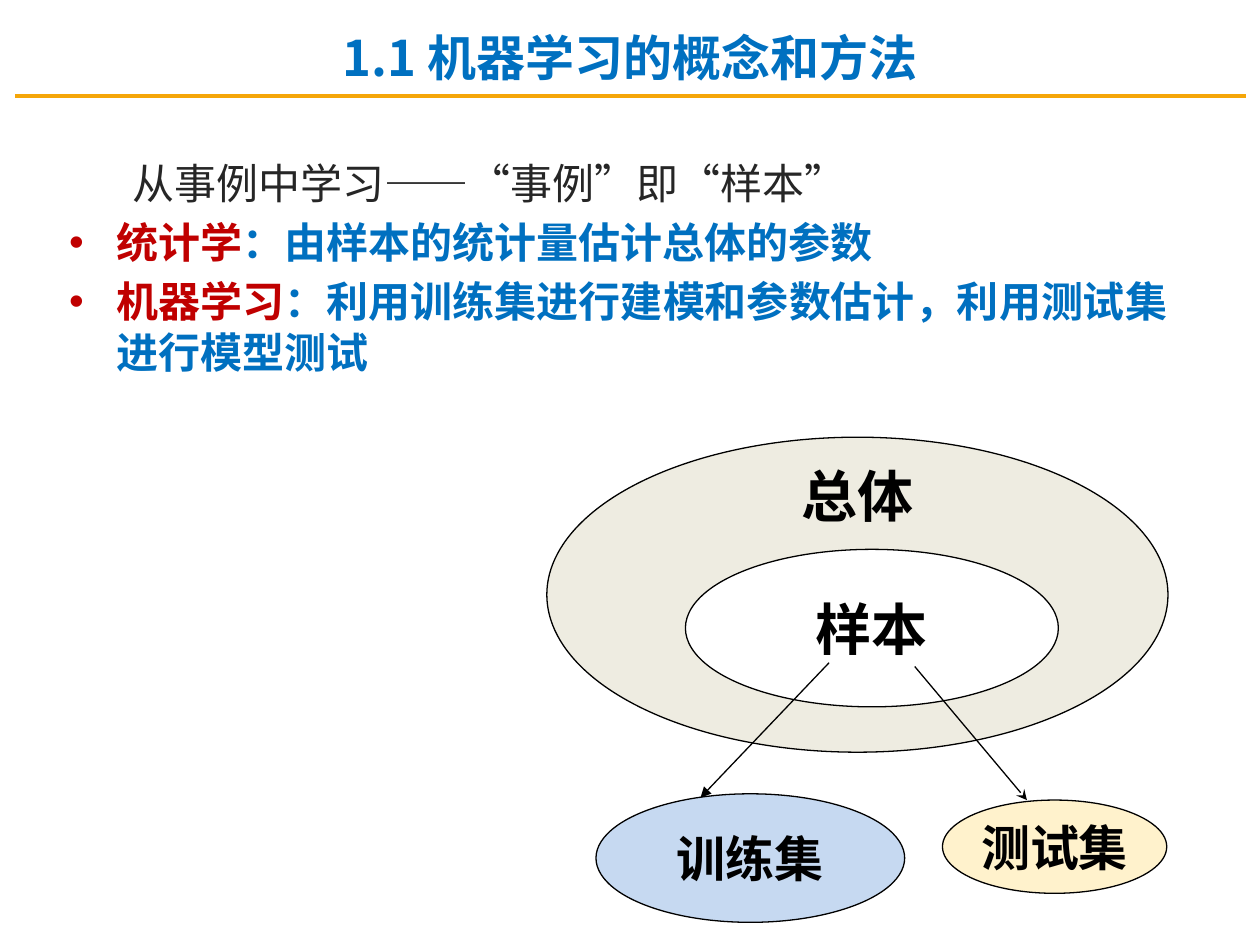
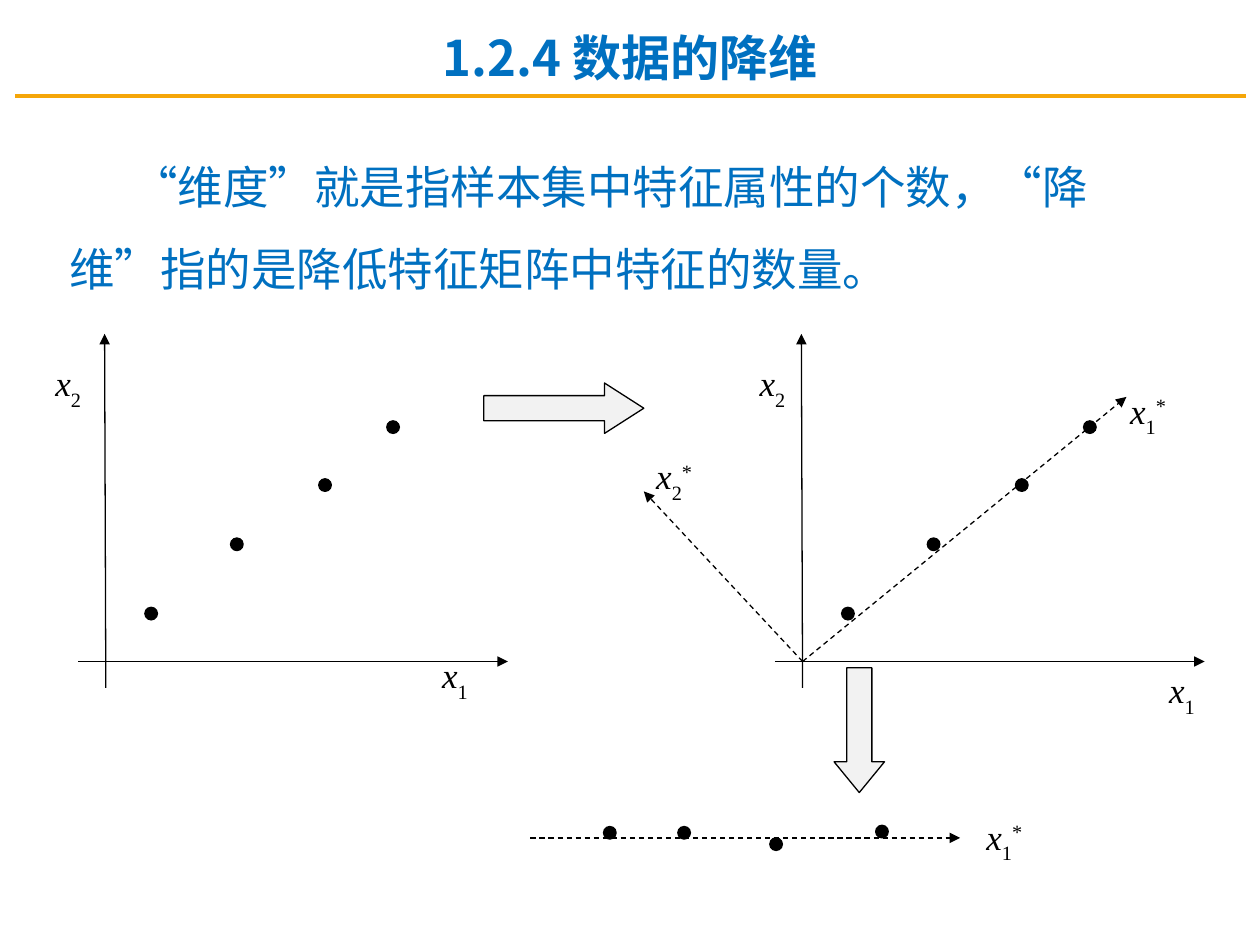
from lxml import etree
from pptx import Presentation
from pptx.dml.color import RGBColor
from pptx.enum.dml import MSO_LINE
from pptx.enum.shapes import MSO_CONNECTOR, MSO_SHAPE
from pptx.enum.text import MSO_ANCHOR, PP_ALIGN
from pptx.oxml.ns import qn
from pptx.util import Inches, Pt

OVAL, RIGHT, DOWN = MSO_SHAPE.OVAL, MSO_SHAPE.RIGHT_ARROW, MSO_SHAPE.DOWN_ARROW
STRAIGHT, DASH = MSO_CONNECTOR.STRAIGHT, MSO_LINE.DASH
MIDDLE, CENTER = MSO_ANCHOR.MIDDLE, PP_ALIGN.CENTER

BLUE = RGBColor(0x00, 0x70, 0xC0)
RED = RGBColor(0xC0, 0x00, 0x00)
ORANGE = RGBColor(0xF5, 0xA6, 0x09)
BLACK = RGBColor(0, 0, 0)
WHITE = RGBColor(0xFF, 0xFF, 0xFF)
DARK = RGBColor(0x26, 0x26, 0x26)
STONE = RGBColor(0xEE, 0xEC, 0xE1)
CREAM = RGBColor(0xFF, 0xF2, 0xCC)
SKY = RGBColor(0xC6, 0xD9, 0xF1)
GREY = RGBColor(0xF2, 0xF2, 0xF2)
HAN, SANS, BODY, MATH = "Noto Sans CJK SC", "Arial", "Calibri", "Times New Roman"

WIDE, HIGH = 10, 7.5
BODY_BOX = (0.45, 1, 9.11, 6.06)

# Slide 1
TITLE_1 = "1.1 机器学习的概念和方法"
LEAD_1 = "从事例中学习——“事例”即“样本”"
POINTS = [
    ("统计学", "：由样本的统计量估计总体的参数"),
    ("机器学习", "：利用训练集进行建模和参数估计，利用测试集进行模型测试"),
]
WHOLE, WHOLE_BOX = "总体", (4.34, 3.47, 4.93, 2.5)
SETS = [  # text, box, fill, size
    ("样本", (5.44, 4.36, 2.96, 1.25), WHITE, 32),
    ("测试集", (7.48, 6.35, 1.78, 0.74), CREAM, 28),
    ("训练集", (4.73, 6.3, 2.45, 1.02), SKY, 28),
]
SPLITS = [((6.58, 5.26), (5.56, 6.33), "triangle"),
          ((7.26, 5.29), (8.15, 6.35), "stealth")]

# Slide 2
TITLE_2 = "1.2.4 数据的降维"
LEAD_2 = "“维度”就是指样本集中特征属性的个数，“降维”指的是降低特征矩阵中特征的数量。"
PLOTS = (0.62, 6.15)  # left end of each horizontal axis
AXIS_Y, AXIS_LEN, DOT = 5.25, 3.41, 0.1
DOTS = [(0.53, 4.82), (1.21, 4.27), (1.91, 3.8), (2.45, 3.34)]
FLAT = [(4.79, 6.56), (5.38, 6.56), (6.11, 6.65), (6.95, 6.55)]
RAYS = [((6.37, AXIS_Y), (8.94, 3.15)),
        ((6.37, AXIS_Y), (5.11, 3.9)),
        ((4.21, 6.65), (4.21 + AXIS_LEN, 6.65))]
LABELS = [  # subscript, superscript, left, top
    ("1", "", 3.41, 5.14), ("2", "", 0.34, 2.82),
    ("1", "", 9.18, 5.26), ("2", "", 5.93, 2.82),
    ("1", "*", 8.87, 3.04), ("2", "*", 5.11, 3.56), ("1", "*", 7.73, 6.42),
]
ARROWS = [(RIGHT, (3.84, 3.04, 1.27, 0.4), 0.78),
          (DOWN, (6.62, 5.3, 0.4, 0.99), 0.61)]


def style(font, name, size, color, bold=False):
    font.name, font.size, font.bold = name, Pt(size), bold
    font.color.rgb = color
    if name != MATH:
        etree.SubElement(font._element, qn("a:ea"), typeface=HAN)


def write(para, text, *look):
    para.add_run().text = text
    style(para.font, *look)


def indent(para, left, first):
    props = para._p.get_or_add_pPr()
    props.set("marL", str(Inches(left)))
    props.set("indent", str(Inches(first)))
    return props


def text_box(slide, box):
    frame = slide.shapes.add_textbox(*map(Inches, box)).text_frame
    frame.word_wrap = True
    return frame


def shape(slide, kind, box, fill):
    item = slide.shapes.add_shape(kind, *map(Inches, box))
    item.shadow.inherit = False
    item.fill.solid()
    item.fill.fore_color.rgb = fill
    item.line.color.rgb, item.line.width = BLACK, Pt(0.75)
    return item


def line(slide, start, end, head=None, dash=None, color=BLACK, width=0.75):
    item = slide.shapes.add_connector(STRAIGHT, *map(Inches, start + end))
    item.line.color.rgb, item.line.width = color, Pt(width)
    if dash:
        item.line.dash_style = dash
    if head:
        etree.SubElement(item.line._get_or_add_ln(), qn("a:tailEnd"), type=head)
    etree.SubElement(item._element.spPr, qn("a:effectLst"))


def caption(frame, text, size):
    frame.word_wrap = False
    frame.vertical_anchor = MIDDLE
    para = frame.paragraphs[0]
    para.alignment = CENTER
    write(para, text, BODY, size, BLACK, True)


def dot(slide, x, y):
    shape(slide, OVAL, (x, y, DOT, DOT), BLACK)


def symbol(slide, sub, sup, x, y):
    """Write an italic x with its subscript and superscript."""
    para = text_box(slide, (x, y, 0.62, 0.52)).paragraphs[0]
    style(para.font, MATH, 20, BLACK)
    for text, shift in (("x", 0), (sub, -30000), (sup, 30000)):
        if text:
            run = para.add_run()
            run.text = text
            run.font.italic = not shift
            if shift:
                run.font._element.set("baseline", str(shift))


def new_slide(prs, title, lead, *look):
    """Add a slide with title, rule and lead; return it and its body frame."""
    slide = prs.slides.add_slide(prs.slide_layouts[6])
    line(slide, (0.12, 0.76), (9.89, 0.76), color=ORANGE, width=2)
    body = text_box(slide, BODY_BOX)
    para = body.paragraphs[0]
    indent(para, 0, 0.5)
    para.line_spacing = 1.5
    write(para, lead, *look)
    head = text_box(slide, (0, 0.17, WIDE, 0.57)).paragraphs[0]
    head.alignment = CENTER
    write(head, title, HAN, 28, BLUE, True)
    return slide, body


def concept(prs):
    slide, body = new_slide(prs, TITLE_1, LEAD_1, SANS, 24, DARK)
    for term, rest in POINTS:
        para = body.add_paragraph()
        props = indent(para, 0.38, -0.38)
        para.space_before = Pt(5)
        etree.SubElement(props, qn("a:buFont"), typeface=SANS)
        etree.SubElement(props, qn("a:buChar"), char="•")
        for text, color in ((term, RED), (rest, BLUE)):
            run = para.add_run()
            run.text = text
            style(run.font, BODY, 24, color, True)
    shape(slide, OVAL, WHOLE_BOX, STONE)
    left, top, wide, high = WHOLE_BOX
    caption(text_box(slide, (left, top, wide, high * 0.37)), WHOLE, 32)
    for text, box, fill, size in SETS:
        caption(shape(slide, OVAL, box, fill).text_frame, text, size)
    for start, end, head in SPLITS:
        line(slide, start, end, head)


def reduction(prs):
    slide, _ = new_slide(prs, TITLE_2, LEAD_2, HAN, 26, BLUE)
    for left in PLOTS:
        line(slide, (left, AXIS_Y), (left + AXIS_LEN, AXIS_Y), "triangle")
        line(slide, (left + 0.22, 5.46), (left + 0.21, 2.65), "triangle")
        for x, y in DOTS:
            dot(slide, left + x, y)
    for start, end in RAYS:
        line(slide, start, end, "triangle", DASH)
    for x, y in FLAT:
        dot(slide, x, y)
    for label in LABELS:
        symbol(slide, *label)
    for kind, box, tip in ARROWS:
        arrow = shape(slide, kind, box, GREY)
        arrow.adjustments[0], arrow.adjustments[1] = 0.5, tip


def main():
    prs = Presentation()
    prs.slide_width, prs.slide_height = Inches(WIDE), Inches(HIGH)
    concept(prs)
    reduction(prs)
    prs.save("out.pptx")


if __name__ == "__main__":
    main()
